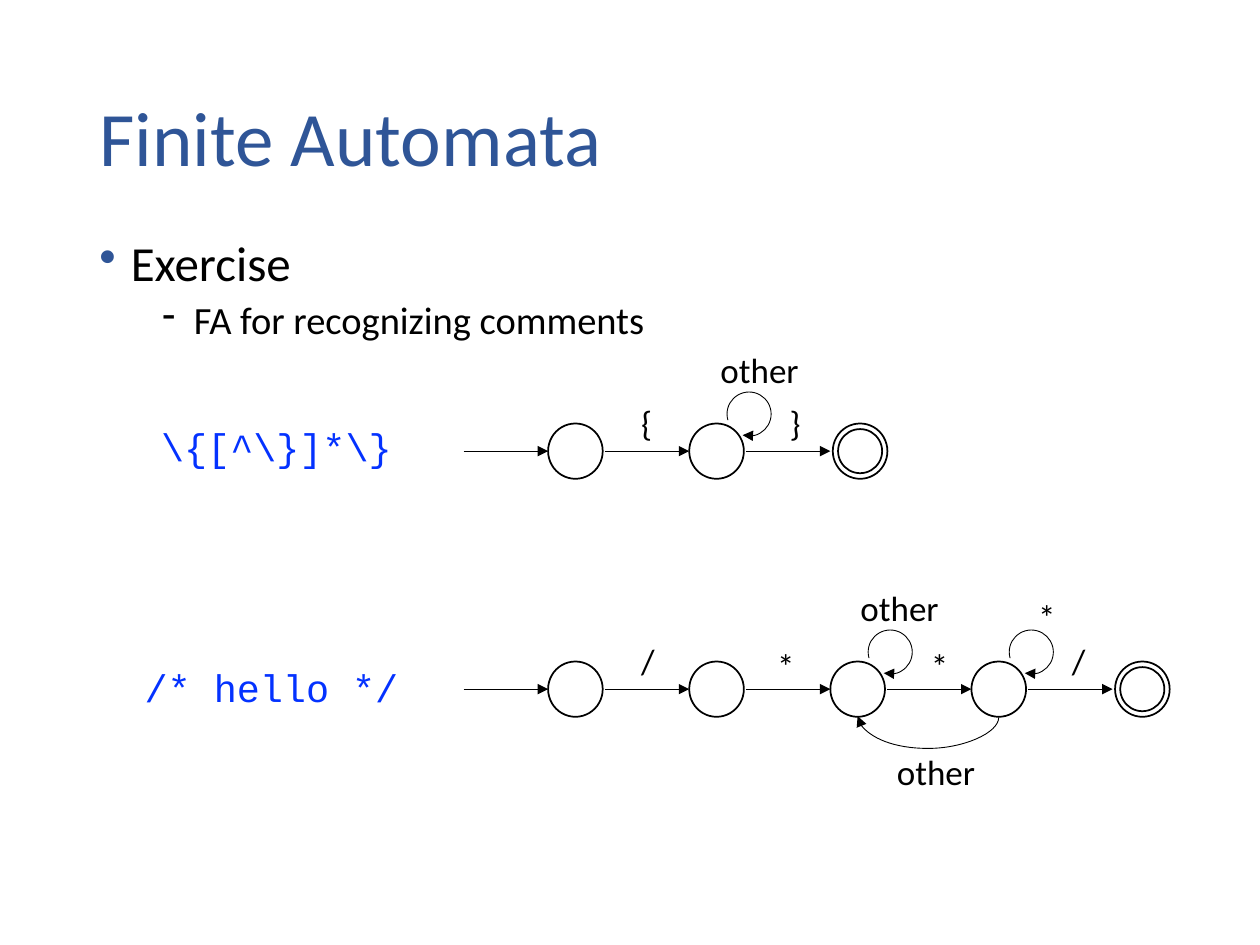
from lxml.etree import SubElement
from pptx import Presentation
from pptx.dml.color import RGBColor
from pptx.enum.shapes import MSO_CONNECTOR, MSO_SHAPE
from pptx.enum.text import MSO_ANCHOR
from pptx.oxml.ns import qn
from pptx.util import Pt

BLUE = RGBColor(0x2F, 0x55, 0x97)
CODE_BLUE = RGBColor(0x04, 0x32, 0xFF)
BLACK = RGBColor(0, 0, 0)

# Automaton geometry, in points
FIRST_LEFT, STEP = 313.2, 80.64
STATE_WIDTH, STATE_HEIGHT = 31.2, 31.6
ACCEPT_SHIFT, INNER_SIZE = 1.4, 25.2
ARROW_LENGTH = 48.2
LOOP_SIZE, LOOP_RIGHT, LOOP_UP = 25.2, 21.6, 33.8
RETURN_DEPTH = 18


def state_left(index):
    return FIRST_LEFT + index * STEP


def add_arrowhead(shape):
    line = shape.line._get_or_add_ln()
    SubElement(line, qn("a:tailEnd"), type="triangle")


def set_font(paragraph, size, color, name="Calibri"):
    paragraph.font.size = Pt(size)
    paragraph.font.name = name
    paragraph.font.color.rgb = color


def add_text(slide, text, left, top, width, height, size, color=BLACK,
             name="Calibri", spacing=1.0):
    box = slide.shapes.add_textbox(Pt(left), Pt(top), Pt(width), Pt(height))
    box.text_frame.word_wrap = True
    paragraph = box.text_frame.paragraphs[0]
    paragraph.text = text
    paragraph.line_spacing = spacing
    set_font(paragraph, size, color, name)
    return box


def set_bullet(paragraph, character, margin, color):
    properties = paragraph._p.get_or_add_pPr()
    properties.set("marL", str(Pt(margin)))
    properties.set("indent", str(Pt(-18)))
    bullet_color = SubElement(properties, qn("a:buClr"))
    SubElement(bullet_color, qn("a:srgbClr"), val=str(color))
    SubElement(properties, qn("a:buChar"), char=character)


def add_outline(slide, kind, left, top, width, height, weight):
    shape = slide.shapes.add_shape(kind, Pt(left), Pt(top), Pt(width), Pt(height))
    shape.shadow.inherit = False
    shape.fill.background()
    shape.line.color.rgb = BLACK
    shape.line.width = Pt(weight)
    return shape


def add_circle(slide, center_x, center_y, width, height):
    add_outline(slide, MSO_SHAPE.OVAL, center_x - width / 2,
                center_y - height / 2, width, height, 1)


def add_state(slide, index, center_y, accepting):
    center_x = state_left(index) + STATE_WIDTH / 2
    if accepting:
        center_x += ACCEPT_SHIFT
        add_circle(slide, center_x, center_y, INNER_SIZE, INNER_SIZE)
    add_circle(slide, center_x, center_y, STATE_WIDTH, STATE_HEIGHT)


def add_arrow(slide, kind, begin_x, begin_y, end_x, end_y):
    connector = slide.shapes.add_connector(
        kind, Pt(begin_x), Pt(begin_y), Pt(end_x), Pt(end_y))
    connector.line.color.rgb = BLACK
    connector.line.width = Pt(0.5)
    add_arrowhead(connector)
    SubElement(connector._element.spPr, qn("a:effectLst"))
    return connector


def add_loop(slide, index, center_y):
    loop = add_outline(slide, MSO_SHAPE.ARC, state_left(index) + LOOP_RIGHT,
                       center_y - LOOP_UP, LOOP_SIZE, LOOP_SIZE, 0.5)
    # Angles in 60000ths of a degree, scaled by 100000
    for position, angle in enumerate((164, 107)):
        loop.adjustments[position] = angle * 0.6
    add_arrowhead(loop)


def add_return_arrow(slide, source, target, center_y):
    """Curve below the row, drawn upright and then turned by 90 degrees."""
    thickness = 0.72
    center_x = (state_left(source) + state_left(target) + STATE_WIDTH) / 2
    bottom = center_y + STATE_HEIGHT / 2
    half_span = (source - target) * STEP / 2
    curve = add_arrow(slide, MSO_CONNECTOR.CURVE,
                      center_x + thickness / 2, bottom - half_span,
                      center_x - thickness / 2, bottom + half_span)
    properties = curve._element.spPr
    properties.find(qn("a:xfrm")).set("rot", str(90 * 60000))
    guides = properties.find(qn("a:prstGeom")).find(qn("a:avLst"))
    bend = round(-RETURN_DEPTH / thickness * 100000)
    SubElement(guides, qn("a:gd"), name="adj1", fmla=f"val {bend}")


def add_automaton(slide, center_y, state_count, loops, labels):
    for index in range(state_count):
        add_state(slide, index, center_y, index == state_count - 1)
        left = state_left(index)
        add_arrow(slide, MSO_CONNECTOR.STRAIGHT,
                  left - ARROW_LENGTH, center_y, left, center_y)
    for index in loops:
        add_loop(slide, index, center_y)
    for text, left, offset in labels:
        width = 63.4 if text == "other" else 24.5
        add_text(slide, text, left, center_y + offset, width, 31.7, 20)


def main():
    presentation = Presentation()
    presentation.slide_width, presentation.slide_height = Pt(720), Pt(540)
    slide = presentation.slides.add_slide(presentation.slide_layouts[6])

    # Title and bullets
    title = add_text(slide, "Finite Automata", 49.7, 28.8, 620.6, 104.4, 44,
                     BLUE, spacing=0.9)
    title.text_frame.vertical_anchor = MSO_ANCHOR.MIDDLE
    body = add_text(slide, "Exercise", 49.7, 133.2, 656.6, 72, 28, spacing=0.9)
    exercise = body.text_frame.paragraphs[0]
    exercise.space_before = Pt(10)
    set_bullet(exercise, "•", 18, BLUE)
    task = body.text_frame.add_paragraph()
    task.text = "FA for recognizing comments"
    task.level = 1
    task.line_spacing = 0.9
    task.space_before = Pt(5)
    set_font(task, 22, BLACK)
    set_bullet(task, "-", 54, BLACK)

    # Comment patterns
    for text, left, top, width in (("\\{[^\\}]*\\}", 85, 235.4, 161.3),
                                   ("/* hello */", 75.6, 373, 170.6)):
        add_text(slide, text, left, top, width, 36.7, 22, CODE_BLUE,
                 "Courier New", 1.1)

    # Automata, with labels as text, left, offset from the row's centre
    add_automaton(slide, 257.8, 3, [1], [
        ("{", 359.3, -31.7), ("}", 444.2, -31.7), ("other", 404.6, -62)])
    add_automaton(slide, 393.8, 5, [2, 3], [
        ("/", 359.3, -31.7), ("*", 437, -28.8), ("*", 524.9, -28.8),
        ("/", 605.5, -31.7), ("other", 484.6, -62), ("*", 586.1, -56.8),
        ("other", 505.4, 31.7)])
    add_return_arrow(slide, 3, 2, 393.8)

    presentation.save("out.pptx")


main()
